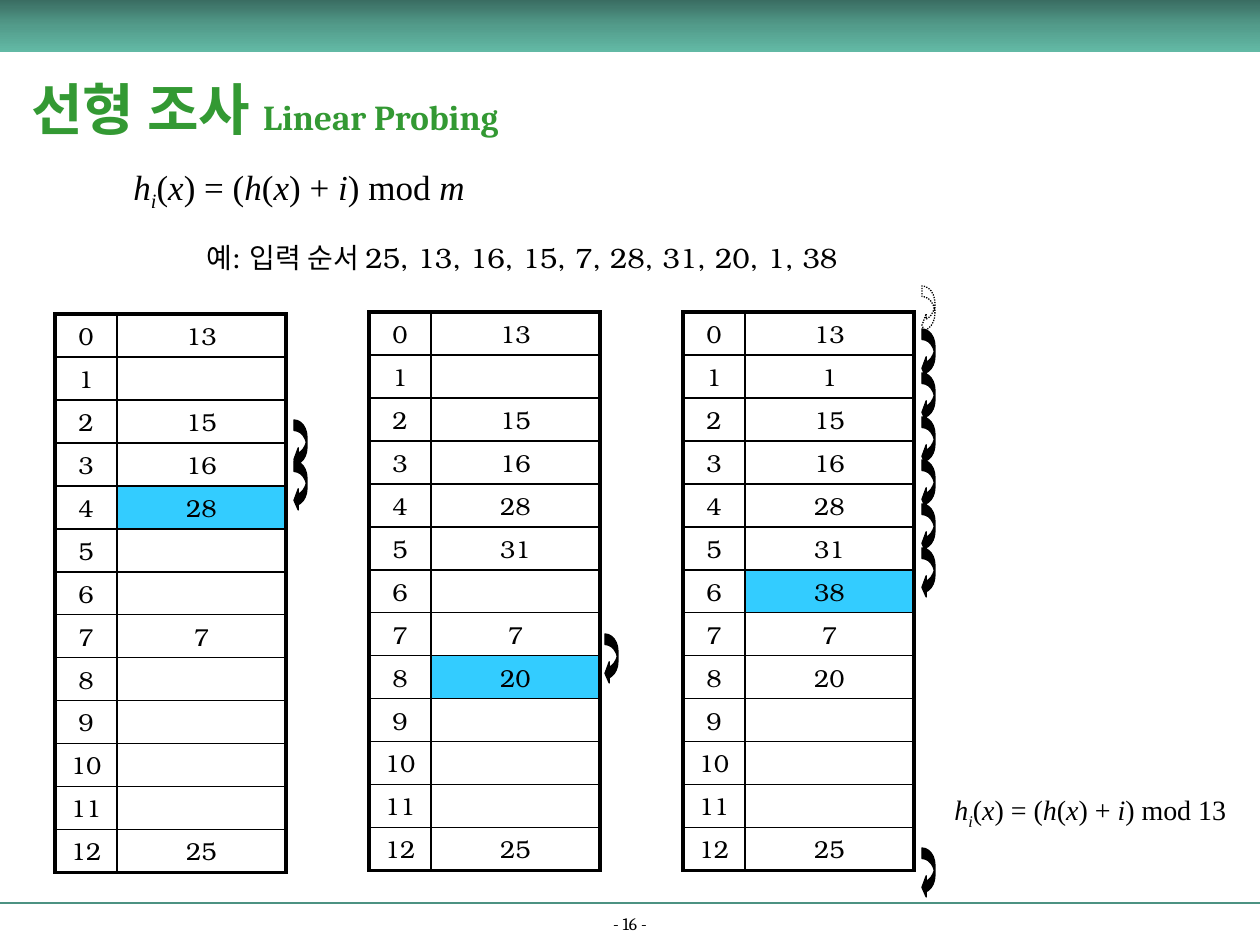
from copy import deepcopy
from lxml.etree import SubElement
from pptx import Presentation
from pptx.dml.color import RGBColor
from pptx.enum.dml import MSO_LINE_DASH_STYLE as Dash
from pptx.enum.shapes import MSO_CONNECTOR, MSO_SHAPE as Shape
from pptx.enum.text import MSO_ANCHOR as Anchor, MSO_AUTO_SIZE as AutoSize, PP_ALIGN as Align
from pptx.oxml.ns import qn
from pptx.util import Pt

COLORS = {"ink": "000000", "title": "339933", "hit": "33CCFF", "rule": "4C9282"}
BAND_STOPS = [(0, "3A6D62"), (0.5, "539C8B"), (1, "62B9A5")]
SERIF, HEADING, MATH = "TeX Gyre Bonum", "Cambria", "Times New Roman"

TITLE = [("선형 조사 ", 32), ("Linear Probing", 20)]
EXAMPLE = "예: 입력 순서 25, 13, 16, 15, 7, 28, 31, 20, 1, 38"
HASH = [("h", "i"), ("i", "sub"), ("(", ""), ("x", "i"), (") = (", ""), ("h", "i"),
        ("(", ""), ("x", "i"), (") + ", ""), ("i", "i")]
FORMULAS = [
    (HASH + [(") mod", ""), (" m", "i")], 20, (121, 159, 357, 54)),
    (HASH + [(") mod 13", "")], 16, (942, 786, 300, 47)),
]
SLOTS = 13
TABLES = [
    {"top": 314, "hit": 4, "values": {0: 13, 2: 15, 3: 16, 4: 28, 7: 7, 12: 25},
     "arrows": [420, 461], "arrow_left": 294},
    {"top": 312, "hit": 8, "values": {0: 13, 2: 15, 3: 16, 4: 28, 5: 31, 7: 7, 8: 20, 12: 25},
     "arrows": [634], "arrow_left": 605},
    {"top": 312, "hit": 6,
     "values": {0: 13, 1: 1, 2: 15, 3: 16, 4: 28, 5: 31, 6: 38, 7: 7, 8: 20, 12: 25},
     "arrows": [848] + [286 + 262 * step // 6 for step in range(6, -1, -1)], "arrow_left": 922},
]
WRAP_ARROW_TOP = 286
TABLE_LEFT, TABLE_STEP, COLUMNS, ROW = 55, 314, (62, 169), 43


def px(value):
    return round(value * 914400 / 126)


def place(*lengths):
    return [px(length) for length in lengths]


def rgb(name):
    return RGBColor.from_string(COLORS[name])


def style(font, size, name, color="ink"):
    font.size, font.name = Pt(size), name
    font.color.rgb = rgb(color)


def text_box(bounds, wrap=True):
    box = page.shapes.add_textbox(*place(*bounds))
    box.text_frame.word_wrap = wrap
    return box.text_frame


def border(cell, sides):
    for tag, width in sides:
        line = SubElement(cell._tc.get_or_add_tcPr(), qn(f"a:{tag}"), w=str(Pt(width)))
        fill = SubElement(line, qn("a:solidFill"))
        SubElement(fill, qn("a:srgbClr"), val=COLORS["ink"])


def add_cell(cell, row, column, text, hit):
    edges = {"lnL": column == 0, "lnR": column == 1, "lnT": row == 0, "lnB": row == SLOTS - 1}
    border(cell, [(tag, 2.25 if outer else 1) for tag, outer in edges.items()])
    if hit:
        cell.fill.solid()
        cell.fill.fore_color.rgb = rgb("hit")
    else:
        cell.fill.background()
    cell.margin_top = cell.margin_bottom = 0
    cell.vertical_anchor = Anchor.MIDDLE
    para = cell.text_frame.paragraphs[0]
    para.alignment = Align.CENTER
    para.text = text
    style(para.font, 14, SERIF)


def add_hash_table(left, data):
    frame = page.shapes.add_table(SLOTS, 2, *place(left, data["top"], sum(COLUMNS), SLOTS * ROW))
    table = frame.table
    table.first_row = table.horz_banding = False
    for column, width in zip(table.columns, COLUMNS):
        column.width = px(width)
    for slot in range(SLOTS):
        table.rows[slot].height = px(ROW)
        for column, text in enumerate((slot, data["values"].get(slot, ""))):
            hit = column == 1 and slot == data["hit"]
            add_cell(table.cell(slot, column), slot, column, str(text), hit)


def add_probe_arrow(left, top):
    arrow = page.shapes.add_shape(Shape.CURVED_LEFT_ARROW, *place(left, top, 13, 50))
    arrow.shadow.inherit = False
    for index, value in enumerate((0.81, 1.63, 0.33)):
        arrow.adjustments[index] = value
    arrow.line.color.rgb = rgb("ink")
    arrow.line.width = Pt(0.75)
    if top == WRAP_ARROW_TOP:
        arrow.fill.background()
        arrow.line.dash_style = Dash.ROUND_DOT
    else:
        arrow.fill.solid()
        arrow.fill.fore_color.rgb = rgb("ink")


deck = Presentation()
deck.slide_width, deck.slide_height = place(1260, 945)
page = deck.slides.add_slide(deck.slide_layouts[5])

band = page.shapes.add_shape(Shape.RECTANGLE, *place(0, 0, 1260, 52))
band.shadow.inherit = False
band.line.fill.background()
band.fill.gradient()
band.fill.gradient_angle = 270
first_stop = band.fill._fill._gradFill.gsLst[0]
first_stop.addnext(deepcopy(first_stop))
for stop, (position, color) in zip(band.fill.gradient_stops, BAND_STOPS):
    stop.position = position
    stop.color.rgb = RGBColor.from_string(color)

rule = page.shapes.add_connector(MSO_CONNECTOR.STRAIGHT, *place(0, 903, 1260, 903))
rule.line.color.rgb = rgb("rule")
rule.line.width = Pt(1.5)
SubElement(rule._element.spPr, qn("a:effectLst"))

footer = text_box((0, 912, 1260, 28))
footer.vertical_anchor = Anchor.BOTTOM
para = footer.paragraphs[0]
para.text, para.alignment = "- 16 -", Align.CENTER
style(para.font, 10, HEADING)

title = page.shapes.title
title.left, title.top, title.width, title.height = place(0, 53, 530, 111)
title.text_frame.auto_size = AutoSize.NONE
title.text_frame.vertical_anchor = Anchor.MIDDLE
para = title.text_frame.paragraphs[0]
para.alignment = Align.CENTER
for text, size in TITLE:
    span = para.add_run()
    span.text = text
    style(span.font, size, HEADING, "title")
    span.font.bold = True

para = text_box((194, 234, 674, 47)).paragraphs[0]
para.text = EXAMPLE
style(para.font, 16, SERIF)

for spans, size, bounds in FORMULAS:
    para = text_box(bounds, wrap=False).paragraphs[0]
    style(para.font, size, MATH)
    for text, kind in spans:
        span = para.add_run()
        span.text = text
        span.font.italic = kind != ""
        if kind == "sub":
            span.font._element.set("baseline", "-25000")

for index, data in enumerate(TABLES):
    add_hash_table(TABLE_LEFT + index * TABLE_STEP, data)
    for top in data["arrows"]:
        add_probe_arrow(data["arrow_left"], top)

deck.save("out.pptx")
